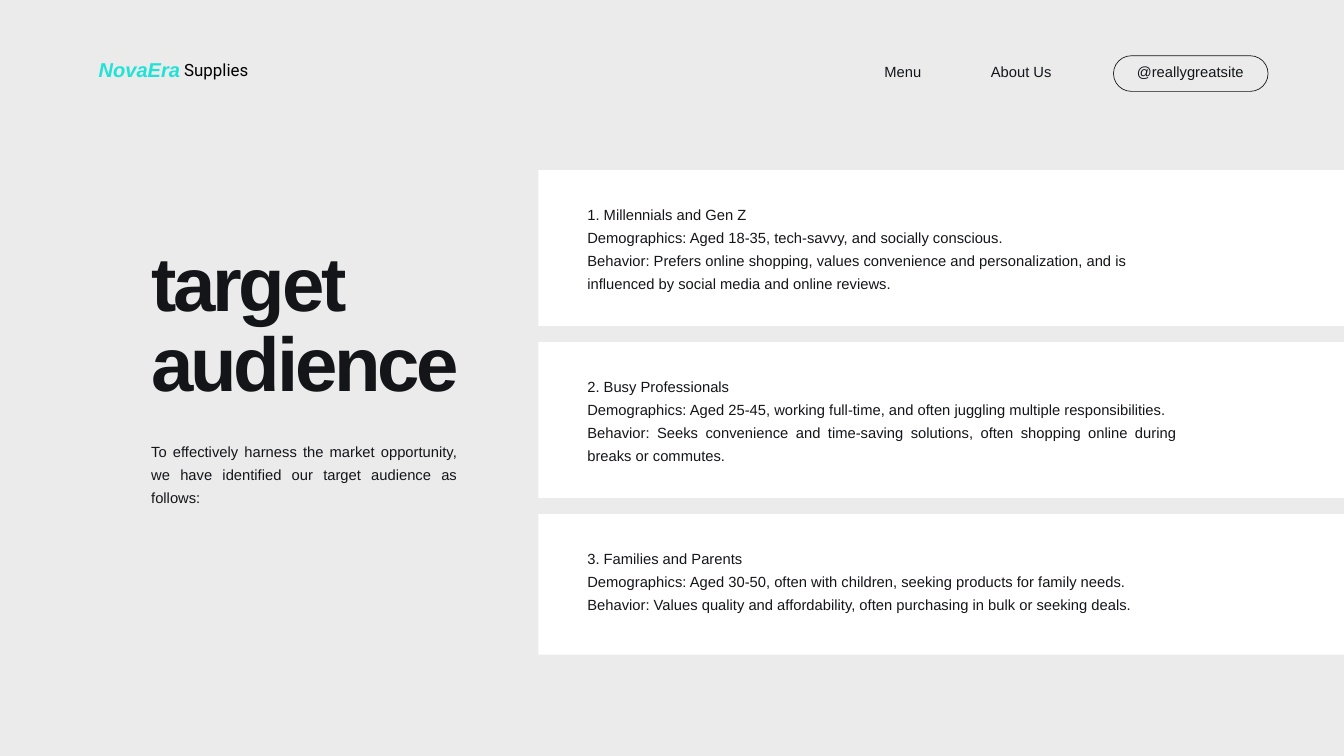
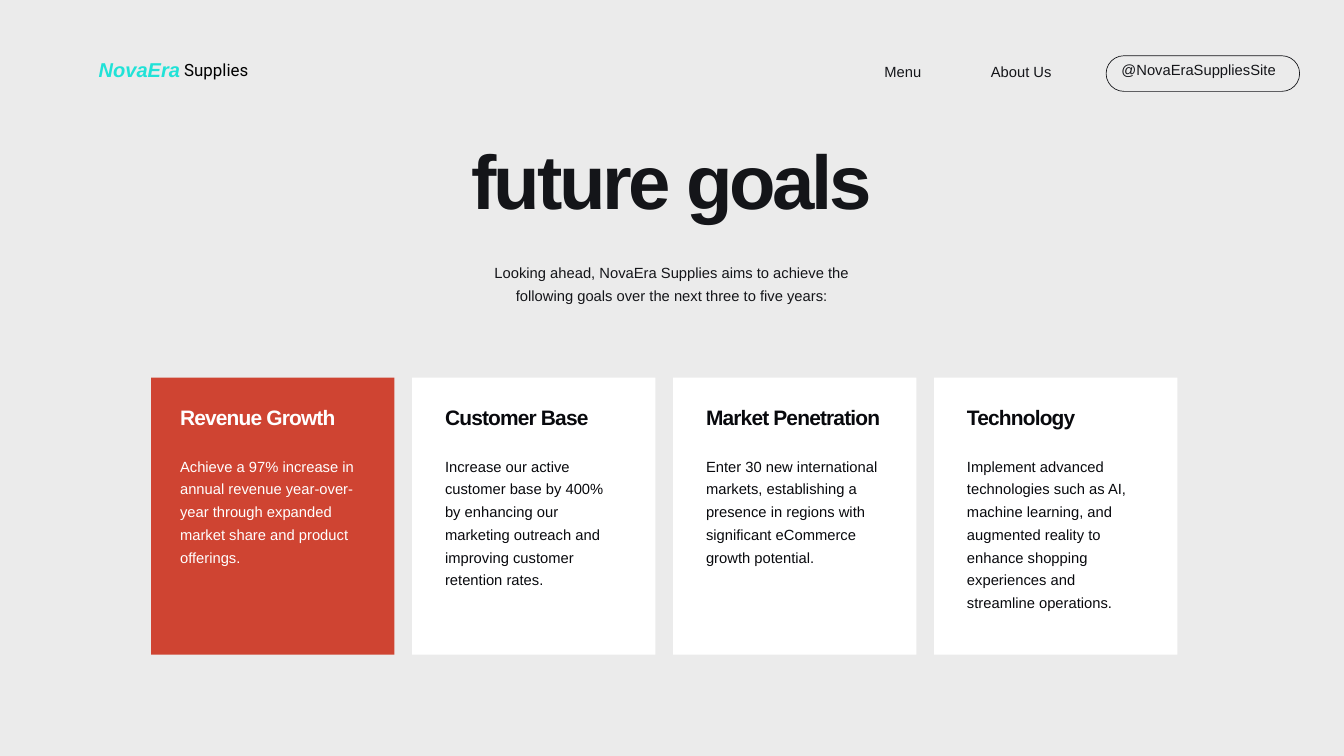
from dataclasses import dataclass, replace
from typing import NamedTuple

from pptx import Presentation
from pptx.dml.color import RGBColor
from pptx.enum.shapes import MSO_SHAPE as Shape
from pptx.enum.text import MSO_ANCHOR as Anchor, MSO_AUTO_SIZE as AutoSize, PP_ALIGN as Align
from pptx.util import Inches, Pt


@dataclass(frozen=True)
class Theme:
    background: str = "EBEBEB"
    panel: str = "FFFFFF"
    ink: str = "141519"
    card_ink: str = "08090D"
    black: str = "000000"
    accent: str = "CF4432"
    brand: str = "20E2D7"
    font: str = "Arial"
    brand_font: str = "Roboto"
    title_size: float = 81.6
    heading_size: float = 22.4
    brand_size: float = 21.5
    brand_suffix_size: float = 18.1
    body_size: float = 15.8


THEME = Theme()


@dataclass(frozen=True)
class TextStyle:
    size: float
    leading: float
    color: str = THEME.ink
    font: str = THEME.font
    bold: bool = False
    italic: bool = False
    tracking: float = 0
    align: Align = Align.LEFT


TITLE = TextStyle(THEME.title_size, 84.8, bold=True, tracking=-3.4)
HEADING = TextStyle(THEME.heading_size, 23.3, THEME.card_ink, bold=True,
                    tracking=-0.9, align=Align.JUSTIFY)
BODY = TextStyle(THEME.body_size, 24.4)
JUSTIFIED = replace(BODY, align=Align.JUSTIFY)
NAV = TextStyle(THEME.body_size, 13.9, align=Align.RIGHT)
BRAND = TextStyle(THEME.brand_size, 24.2, THEME.brand, bold=True, italic=True,
                  align=Align.RIGHT)
BRAND_SUFFIX = TextStyle(THEME.brand_suffix_size, 20.5, THEME.black, THEME.brand_font)


class Box(NamedTuple):
    left: float
    top: float
    width: float
    height: float

    def inches(self) -> list:
        return [Inches(v) for v in self]


class Label(NamedTuple):
    text: str
    box: Box
    style: TextStyle


class Handle(NamedTuple):
    """Account name and the pill outline around it."""
    label: Label
    pill: Box


class Audience(NamedTuple):
    paragraphs: list[str]
    lines: int
    height: float
    last_align: Align = Align.JUSTIFY


class Goal(NamedTuple):
    heading: str
    body: str
    lines: int
    inset: float = 0.49
    fill: str = THEME.panel
    color: str = THEME.card_ink


HEADER = [
    Label("NovaEra", Box(1.38, 0.88, 1.3, 0.34), BRAND),
    Label("Supplies", Box(2.74, 0.91, 1.05, 0.28), BRAND_SUFFIX),
    Label("Menu", Box(12.82, 1.01, 0.89, 0.24), NAV),
    Label("About Us", Box(14.41, 1.01, 1.24, 0.24), NAV),
]

AUDIENCES = [
    Audience(["1. Millennials and Gen Z",
              "Demographics: Aged 18-35, tech-savvy, and socially conscious.",
              "Behavior: Prefers online shopping, values convenience and personalization, "
              "and is influenced by social media and online reviews."],
             4, 2.32, Align.LEFT),
    Audience(["2. Busy Professionals",
              "Demographics: Aged 25-45, working full-time, and often juggling multiple "
              "responsibilities.",
              "Behavior: Seeks convenience and time-saving solutions, often shopping online "
              "during breaks or commutes."],
             4, 2.32),
    Audience(["3. Families and Parents",
              "Demographics: Aged 30-50, often with children, seeking products for family needs.",
              "Behavior: Values quality and affordability, often purchasing in bulk or "
              "seeking deals."],
             3, 2.09),
]

GOALS = [
    Goal("Revenue Growth",
         "Achieve a 97% increase in annual revenue year-over-year through expanded market "
         "share and product offerings.", 5, 0.43, THEME.accent, THEME.panel),
    Goal("Customer Base",
         "Increase our active customer base by 400% by enhancing our marketing outreach and "
         "improving customer retention rates.", 6),
    Goal("Market Penetration",
         "Enter 30 new international markets, establishing a presence in regions with "
         "significant eCommerce growth potential.", 5),
    Goal("Technology",
         "Implement advanced technologies such as AI, machine learning, and augmented reality "
         "to enhance shopping experiences and streamline operations.", 7),
]

SLIDE_WIDTH, SLIDE_HEIGHT = 20, 11.25
LEFT, RIGHT = 2.25, 17.52
LINE_HEIGHT = 0.34
BAND_LEFT, BAND_TOP, BAND_PITCH = 8.01, 2.53, 2.56
BAND_TEXT_LEFT, BAND_TEXT_INSET = 8.74, 0.46
CARD_TOP, CARD_WIDTH, CARD_HEIGHT = 5.62, 3.62, 4.12
CARD_TEXT_WIDTH, HEADING_TOP, BODY_TOP = 2.63, 6.07, 6.73


def write(tf, text: str, style: TextStyle) -> None:
    """Fill a text frame with one paragraph for each line of the text."""
    frame = dict(margin_left=0, margin_top=0, margin_right=0, margin_bottom=0,
                 word_wrap=True, auto_size=AutoSize.NONE, vertical_anchor=Anchor.TOP)
    for name, value in frame.items():
        setattr(tf, name, value)
    tf.text = text
    font = dict(name=style.font, size=Pt(style.size), bold=style.bold, italic=style.italic)
    for p in tf.paragraphs:
        p.alignment = style.align
        p.line_spacing = Pt(style.leading)
        for r in p.runs:
            for name, value in font.items():
                setattr(r.font, name, value)
            r.font.color.rgb = RGBColor.from_string(style.color)
            if style.tracking:
                r._r.get_or_add_rPr().set("spc", str(round(style.tracking * 100)))


def add_text(slide, label: Label):
    sp = slide.shapes.add_textbox(*label.box.inches())
    write(sp.text_frame, label.text, label.style)
    return sp


def add_panel(slide, box: Box, color: str) -> None:
    sp = slide.shapes.add_shape(Shape.RECTANGLE, *box.inches())
    sp.shadow.inherit = False
    sp.fill.solid()
    sp.fill.fore_color.rgb = RGBColor.from_string(color)
    sp.line.fill.background()


def add_pill(slide, box: Box) -> None:
    sp = slide.shapes.add_shape(Shape.ROUNDED_RECTANGLE, *box.inches())
    sp.adjustments[0] = 0.5
    sp.shadow.inherit = False
    sp.fill.background()
    sp.line.color.rgb = RGBColor.from_string(THEME.ink)
    sp.line.width = Pt(0.75)


def add_slide(prs, title: Label, handle: Handle):
    """Add a slide with its title and the shared header."""
    slide = prs.slides.add_slide(prs.slide_layouts.get_by_name("Title Only"))
    sp = slide.shapes.title
    sp.left, sp.top, sp.width, sp.height = title.box.inches()
    write(sp.text_frame, title.text, title.style)
    for label in HEADER:
        add_text(slide, label)
    add_pill(slide, handle.pill)
    add_text(slide, handle.label)
    return slide


def add_audience_slide(prs) -> None:
    slide = add_slide(
        prs,
        Label("target\naudience", Box(LEFT, 3.69, 4.86, 2.57), TITLE),
        Handle(Label("@reallygreatsite", Box(15.23, 1.01, 3.28, 0.24), NAV),
               Box(16.57, 0.83, 2.3, 0.53)))
    add_text(slide, Label("To effectively harness the market opportunity, we have identified "
                          "our target audience as follows:",
                          Box(LEFT, 6.52, 4.56, 3 * LINE_HEIGHT), JUSTIFIED))
    for i, audience in enumerate(AUDIENCES):
        top = BAND_TOP + i * BAND_PITCH
        add_panel(slide, Box(BAND_LEFT, top, SLIDE_WIDTH - BAND_LEFT, audience.height),
                  THEME.panel)
        box = Box(BAND_TEXT_LEFT, top + BAND_TEXT_INSET, RIGHT - BAND_TEXT_LEFT,
                  audience.lines * LINE_HEIGHT)
        sp = add_text(slide, Label("\n".join(audience.paragraphs), box, JUSTIFIED))
        sp.text_frame.paragraphs[-1].alignment = audience.last_align


def add_goals_slide(prs) -> None:
    slide = add_slide(
        prs,
        Label("future goals", Box(6.62, 2.17, 6.76, 1.39), replace(TITLE, align=Align.CENTER)),
        Handle(Label("@NovaEraSuppliesSite", Box(15.71, 0.98, 3.28, 0.24), NAV),
               Box(16.46, 0.83, 2.88, 0.53)))
    add_text(slide, Label("Looking ahead, NovaEra Supplies aims to achieve the following goals "
                          "over the next three to five years:",
                          Box(7.18, 3.85, 5.64, 2 * LINE_HEIGHT),
                          replace(BODY, align=Align.CENTER)))
    pitch = (RIGHT - LEFT - CARD_WIDTH) / (len(GOALS) - 1)
    for i, goal in enumerate(GOALS):
        left = LEFT + i * pitch
        add_panel(slide, Box(left, CARD_TOP, CARD_WIDTH, CARD_HEIGHT), goal.fill)
        text_left = left + goal.inset
        add_text(slide, Label(goal.heading, Box(text_left, HEADING_TOP, CARD_TEXT_WIDTH, 0.38),
                              replace(HEADING, color=goal.color)))
        add_text(slide, Label(goal.body, Box(text_left, BODY_TOP, CARD_TEXT_WIDTH,
                                             goal.lines * LINE_HEIGHT),
                              replace(BODY, color=goal.color)))


def main() -> None:
    prs = Presentation()
    prs.slide_width, prs.slide_height = Inches(SLIDE_WIDTH), Inches(SLIDE_HEIGHT)
    fill = prs.slide_master.background.fill
    fill.solid()
    fill.fore_color.rgb = RGBColor.from_string(THEME.background)
    add_audience_slide(prs)
    add_goals_slide(prs)
    prs.save("out.pptx")


if __name__ == "__main__":
    main()
